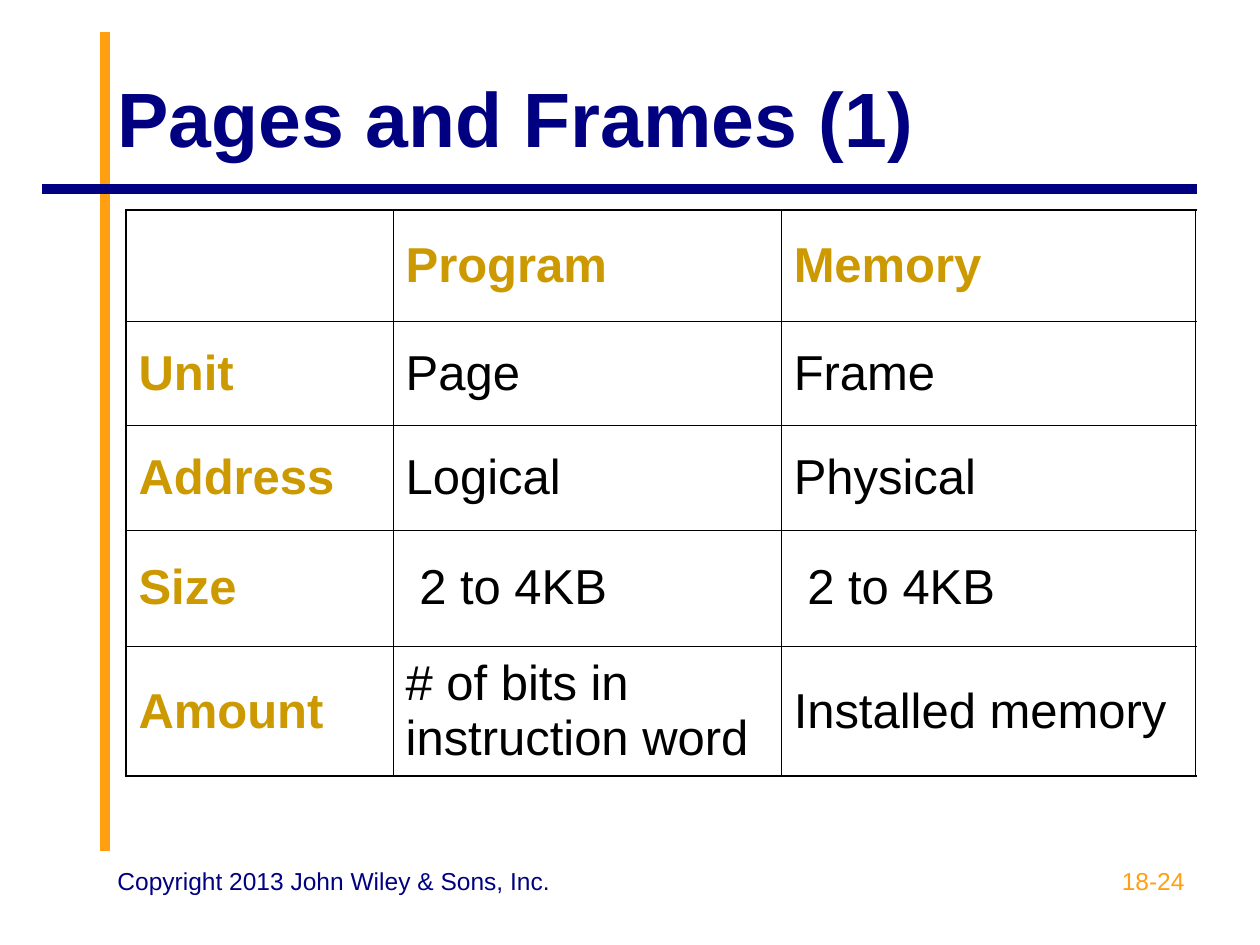
"""Build the slide comparing pages and frames."""
from lxml import etree
from pptx import Presentation, util as u
from pptx.dml.color import RGBColor
from pptx.enum import shapes, text
from pptx.oxml import ns

NAVY, ORANGE, GOLD, BLACK = "000080", "FF9F11", "CC9900", "000000"


def color(value):
    return RGBColor.from_string(value)


def write(tf, words, size, value, bold=False, align=text.PP_ALIGN.LEFT):
    tf.word_wrap = True
    p = tf.paragraphs[0]
    p.alignment = align
    r = p.add_run()
    r.text = words
    r.font.name, r.font.size, r.font.bold = "Arial", u.Pt(size), bold
    r.font.color.rgb = color(value)


prs = Presentation()
prs.slide_width, prs.slide_height = u.Inches(10), u.Inches(7.5)
W, H = prs.slide_width, prs.slide_height
s = prs.slides.add_slide(prs.slide_layouts[6])
left, right = W // 12, W * 95 // 100

rules = [
    (left, H * 0.9, left, H / 30, ORANGE),
    (right, H * 0.2, W / 30, H * 0.2, NAVY),
]
for x1, y1, x2, y2, value in rules:
    sp = s.shapes.add_connector(
        shapes.MSO_CONNECTOR.STRAIGHT, int(x1), int(y1), int(x2), int(y2)
    )
    sp.line.color.rgb = color(value)
    sp.line.width = u.Pt(5.5)
    etree.SubElement(sp._element.spPr, ns.qn("a:effectLst"))

title = s.shapes.add_textbox(left, int(H * 0.04), right - left, H // 6)
title.text_frame.vertical_anchor = text.MSO_ANCHOR.MIDDLE
write(title.text_frame, "Pages and Frames (1)", 44, NAVY, True)

rows = [
    ("", "Program", "Memory"),
    ("Unit", "Page", "Frame"),
    ("Address", "Logical", "Physical"),
    ("Size", " 2 to 4KB", " 2 to 4KB"),
    ("Amount", "# of bits in instruction word", "Installed memory"),
]
widths = [2.12, 3.08, 3.29]
heights = [0.88, 0.83, 0.83, 0.92, 1.03]
frame = s.shapes.add_table(
    len(rows), len(widths), W // 10, H * 2 // 9,
    u.Inches(sum(widths)), u.Inches(sum(heights)),
)
table = frame.table
table.first_row = table.horz_banding = False
for column, width in zip(table.columns, widths):
    column.width = u.Inches(width)
for row, height in zip(table.rows, heights):
    row.height = u.Inches(height)

for i, row in enumerate(rows):
    for j, words in enumerate(row):
        cell = table.cell(i, j)
        cell.vertical_anchor = text.MSO_ANCHOR.MIDDLE
        cell.fill.background()
        if words:
            head = i == 0 or j == 0
            write(cell.text_frame, words, 28, GOLD if head else BLACK, head)
        outer = {
            "L": j == 0,
            "R": j == len(widths) - 1,
            "T": i == 0,
            "B": i == len(rows) - 1,
        }
        tcPr = cell._tc.get_or_add_tcPr()
        for k, (side, edge) in enumerate(outer.items()):
            ln = etree.Element(ns.qn(f"a:ln{side}"), w=str(u.Pt(1.08 if edge else 0.45)))
            fill = etree.SubElement(ln, ns.qn("a:solidFill"))
            etree.SubElement(fill, ns.qn("a:srgbClr"), val=BLACK)
            tcPr.insert(k, ln)

footers = [
    (W * 43 // 60, "18-24", ORANGE, text.PP_ALIGN.RIGHT),
    (left, "Copyright 2013 John Wiley & Sons, Inc.", NAVY, text.PP_ALIGN.LEFT),
]
for x, words, value, align in footers:
    width = W * 11 // 30 if x == left else right - x
    sp = s.shapes.add_textbox(x, int(H * 0.91), width, int(H * 0.07))
    write(sp.text_frame, words, 14, value, align=align)

prs.save("out.pptx")
